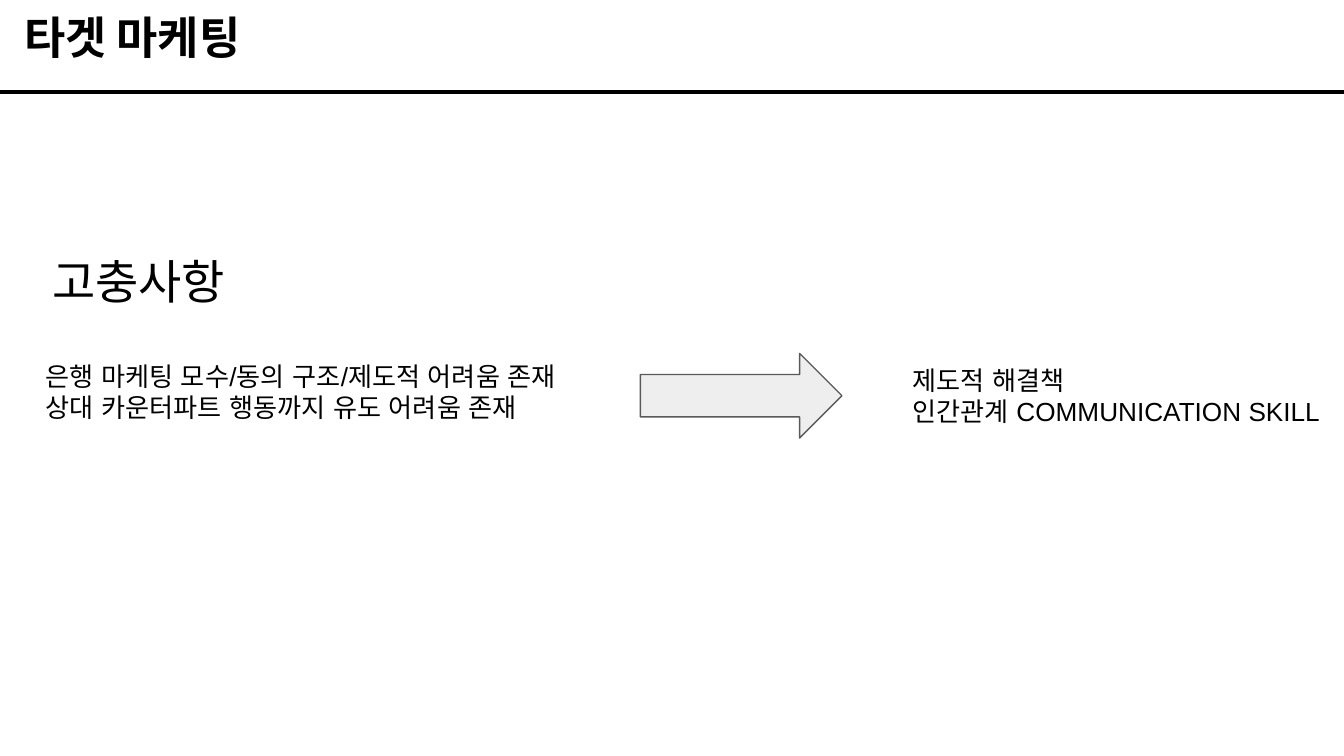
from typing import NamedTuple

from lxml import etree
from pptx import Presentation
from pptx import util as u
from pptx.dml.color import RGBColor
from pptx.enum import shapes, text
from pptx.oxml.ns import qn

COLORS = {"ink": "000000", "arrow": "EEEEEE", "outline": "595959"}
SLIDE_WIDTH = u.Inches(10)
SLIDE_HEIGHT = SLIDE_WIDTH * 9 // 16
CELL = SLIDE_WIDTH / 100  # square grid, 100 columns across the slide


class Area(NamedTuple):
    """Place and size in grid columns and rows."""
    column: float
    row: float
    columns: float
    rows: float


class Label(NamedTuple):
    area: Area
    lines: tuple[str, ...]
    size: float
    font: str = "Arial"
    bold: bool = False
    inset: tuple[float, float] = (1, 1)


HARDSHIPS = Label(Area(2.4, 25.8, 56.8, 6.7),
                  ("은행 마케팅 모수/동의 구조/제도적 어려움 존재",
                   "상대 카운터파트 행동까지 유도 어려움 존재"), 14)
SUBTITLE = Label(Area(2.9, 17.8, 93.2, 6.3), ("고충사항",), 25.2)
SOLUTIONS = Label(Area(66.9, 26.1, 34.8, 6.7),
                  ("제도적 해결책", "인간관계 COMMUNICATION SKILL"), 14)
HEADING = Label(Area(1.05, 0.35, 26.4, 5.7), ("타겟 마케팅",), 24,
                font="Noto Sans CJK KR", bold=True, inset=(0.75, 0.38))
ARROW = Area(47.65, 26.3, 15, 6.3)
RULE_ROW = 6.85


def cells(count: float) -> int:
    return round(count * CELL)


def color(name: str) -> RGBColor:
    return RGBColor.from_string(COLORS[name])


def draw_label(page, label: Label) -> None:
    box = page.shapes.add_textbox(*map(cells, label.area))
    frame = box.text_frame
    across, down = map(cells, label.inset)
    frame_format = {"word_wrap": True, "vertical_anchor": text.MSO_ANCHOR.TOP,
                    "margin_left": across, "margin_right": across,
                    "margin_top": down, "margin_bottom": down}
    for name, value in frame_format.items():
        setattr(frame, name, value)
    span_format = {"size": u.Pt(label.size), "name": label.font, "bold": label.bold}
    for index, line in enumerate(label.lines):
        para = frame.add_paragraph() if index else frame.paragraphs[0]
        span = para.add_run()
        span.text = line
        for name, value in span_format.items():
            setattr(span.font, name, value)
        span.font.color.rgb = color("ink")
        latin = span.font._element.find(qn("a:latin"))
        east_asian = etree.Element(qn("a:ea"), typeface=label.font)
        latin.addnext(east_asian)


def draw_rule(page, row: float) -> None:
    rule = page.shapes.add_connector(shapes.MSO_CONNECTOR.STRAIGHT,
                                     0, cells(row), SLIDE_WIDTH, cells(row))
    rule.line.color.rgb = color("ink")
    rule.line.width = u.Pt(2)
    etree.SubElement(rule._element.spPr, qn("a:effectLst"))


def draw_arrow(page, area: Area) -> None:
    arrow = page.shapes.add_shape(shapes.MSO_SHAPE.RIGHT_ARROW, *map(cells, area))
    arrow.shadow.inherit = False
    arrow.fill.solid()
    arrow.fill.fore_color.rgb = color("arrow")
    arrow.line.color.rgb = color("outline")
    arrow.line.width = u.Pt(0.75)


def main() -> None:
    deck = Presentation()
    deck.slide_width, deck.slide_height = SLIDE_WIDTH, SLIDE_HEIGHT
    page = deck.slides.add_slide(deck.slide_layouts[6])
    draw_label(page, HARDSHIPS)
    draw_rule(page, RULE_ROW)
    draw_label(page, SUBTITLE)
    draw_arrow(page, ARROW)
    draw_label(page, SOLUTIONS)
    draw_label(page, HEADING)
    deck.save("out.pptx")


if __name__ == "__main__":
    main()
